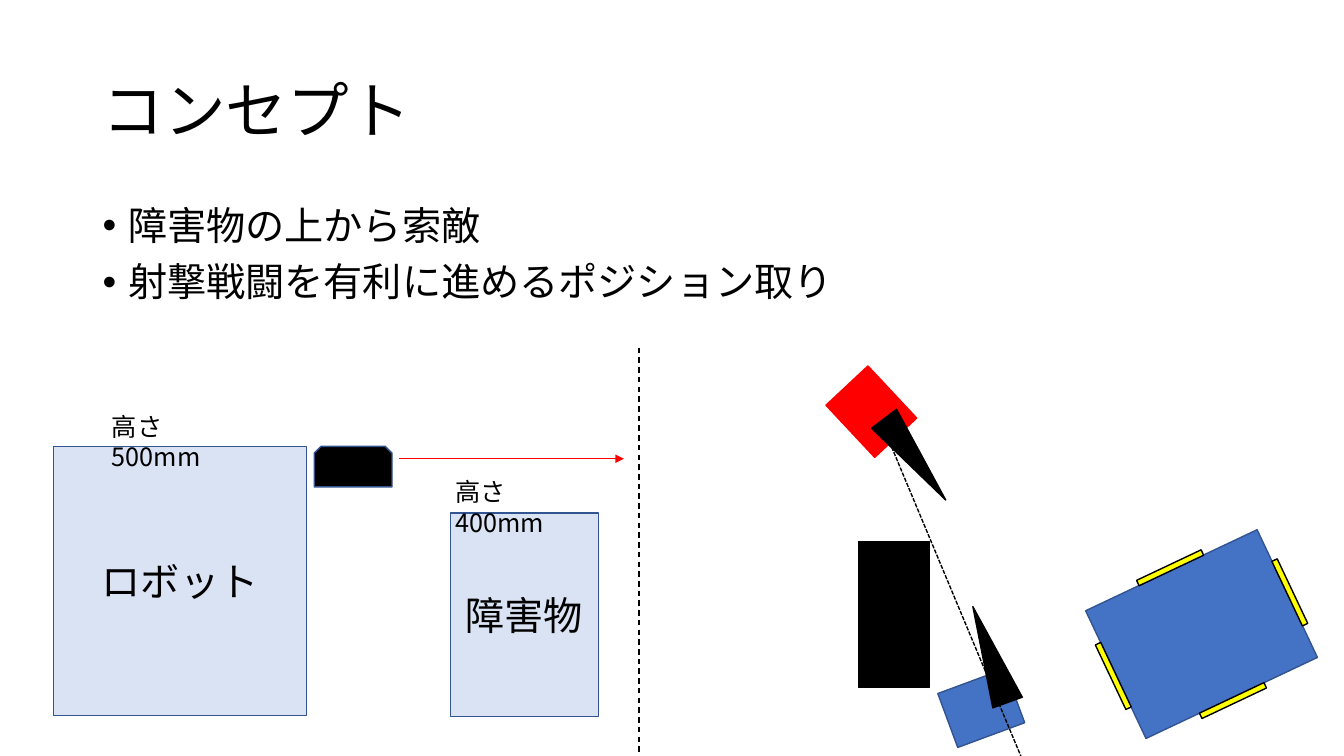
from dataclasses import dataclass
from math import cos, radians, sin

from lxml import etree
from pptx import Presentation
from pptx.dml.color import RGBColor
from pptx.enum.dml import MSO_LINE
from pptx.enum.shapes import MSO_CONNECTOR, MSO_SHAPE
from pptx.enum.text import MSO_ANCHOR, PP_ALIGN
from pptx.oxml.ns import qn
from pptx.util import Cm, Pt

RECT = MSO_SHAPE.RECTANGLE
SNIP = MSO_SHAPE.SNIP_2_SAME_RECTANGLE
WEDGE = MSO_SHAPE.ISOSCELES_TRIANGLE
LINE = MSO_CONNECTOR.STRAIGHT
DASH = MSO_LINE.DASH
DOTS = MSO_LINE.SQUARE_DOT
TOP = MSO_ANCHOR.TOP
MIDDLE = MSO_ANCHOR.MIDDLE
LEFT = PP_ALIGN.LEFT
CENTER = PP_ALIGN.CENTER


@dataclass(frozen=True)
class Theme:
    font: str = "Noto Sans CJK JP"
    black: str = "000000"
    red: str = "FF0000"
    blue: str = "4472C4"
    pale: str = "DAE3F3"
    edge: str = "325491"
    yellow: str = "FFFF00"
    title: int = 44
    body: int = 28
    label: int = 18


THEME = Theme()


def color(code):
    return RGBColor.from_string(code)


def add_run(para, text, size):
    run = para.add_run()
    run.text = text
    font = run.font
    font.size = Pt(size)
    font.name = THEME.font
    font.color.rgb = color(THEME.black)
    east = etree.SubElement(font._element, qn("a:ea"))
    east.set("typeface", THEME.font)


def add_bullet(para):
    props = para._p.get_or_add_pPr()
    props.set("marL", str(Cm(0.64)))
    props.set("indent", str(-Cm(0.64)))
    mark = etree.SubElement(props, qn("a:buFont"))
    mark.set("typeface", "Arial")
    mark = etree.SubElement(props, qn("a:buChar"))
    mark.set("char", "•")


def add_text(slide, box, lines, size, anchor=TOP, space=None, bullet=False):
    frame = slide.shapes.add_textbox(*map(Cm, box)).text_frame
    frame.word_wrap = True
    frame.vertical_anchor = anchor
    for index, line in enumerate(lines):
        para = frame.add_paragraph() if index else frame.paragraphs[0]
        para.alignment = LEFT
        if space:
            para.line_spacing = space
        if bullet:
            para.space_before = Pt(10)
            add_bullet(para)
        add_run(para, line, size)


def add_block(shapes, kind, box, fill, edge, turn=0, text=None):
    block = shapes.add_shape(kind, *map(Cm, box))
    block.shadow.inherit = False
    block.rotation = turn
    block.fill.solid()
    block.fill.fore_color.rgb = color(fill)
    block.line.color.rgb = color(edge)
    block.line.width = Pt(1)
    if text:
        frame = block.text_frame
        frame.word_wrap = True
        frame.vertical_anchor = MIDDLE
        para = frame.paragraphs[0]
        para.alignment = CENTER
        add_run(para, text, THEME.body)


def add_line(slide, ends, code, width=1, dash=None, arrow=False):
    link = slide.shapes.add_connector(LINE, *map(Cm, ends))
    link.line.color.rgb = color(code)
    link.line.width = Pt(width)
    if dash:
        link.line.dash_style = dash
    if arrow:
        tip = etree.SubElement(link.line._get_or_add_ln(), qn("a:tailEnd"))
        tip.set("type", "triangle")
    etree.SubElement(link._element.spPr, qn("a:effectLst"))


def add_car(slide, mid_x, mid_y, turn):
    wide, tall = 3.56, 4.78
    long, thin = 1.8, 0.15
    parts = slide.shapes.add_group_shape().shapes
    box = (mid_x - wide / 2, mid_y - tall / 2, wide, tall)
    add_block(parts, RECT, box, THEME.blue, THEME.edge, turn)
    for side in range(4):
        reach = (1.85, 2.46)[side % 2]
        angle = turn + 90 * side
        left = mid_x + reach * cos(radians(angle)) - long / 2
        top = mid_y + reach * sin(radians(angle)) - thin / 2
        add_block(parts, RECT, (left, top, long, thin), THEME.yellow,
                  THEME.black, (angle + 90) % 360)


def add_side(slide):
    shapes = slide.shapes
    add_block(shapes, RECT, (1.35, 11.25, 6.38, 6.78), THEME.pale,
              THEME.edge, text="ロボット")
    add_block(shapes, RECT, (11.35, 12.93, 3.73, 5.13), THEME.pale,
              THEME.edge, text="障害物")
    for left, top, text in ((11.23, 11.89, "高さ400mm"),
                            (2.57, 10.24, "高さ500mm")):
        add_text(slide, (left, top, 3.96, 1.02), [text], THEME.label)
    add_block(shapes, SNIP, (7.92, 11.25, 1.96, 1.02), THEME.black, THEME.edge)
    add_line(slide, (10.06, 11.56, 15.72, 11.56), THEME.red, 0.5, arrow=True)


def add_plan(slide):
    shapes = slide.shapes
    black = THEME.black
    add_block(shapes, RECT, (21.06, 9.65, 1.8, 1.45), THEME.red, THEME.red, 46.9)
    add_block(shapes, RECT, (21.64, 13.64, 1.78, 3.68), black, black)
    add_block(shapes, RECT, (23.83, 17.12, 1.8, 1.45), THEME.blue, THEME.edge, 339.7)
    add_block(shapes, WEDGE, (22.66, 10.29, 0.79, 2.57), black, black, 142.8)
    add_line(slide, (22.2, 10.62, 25.78, 19.18), black, dash=DOTS)
    add_block(shapes, WEDGE, (24.56, 15.21, 0.79, 2.57), black, black, 340.1)
    add_car(slide, 30.28, 15.98, 64.7)


def main():
    deck = Presentation()
    deck.slide_width = Cm(33.87)
    deck.slide_height = Cm(19.05)
    slide = deck.slides.add_slide(deck.slide_layouts[6])
    add_text(slide, (2.34, 1.02, 29.21, 3.68), ["コンセプト"], THEME.title,
             MIDDLE, 0.9)
    add_text(slide, (2.34, 5.08, 21.79, 3.68),
             ["障害物の上から索敵", "射撃戦闘を有利に進めるポジション取り"],
             THEME.body, space=0.9, bullet=True)
    add_side(slide)
    add_line(slide, (16.1, 8.76, 16.1, 19.05), THEME.black, dash=DASH)
    add_plan(slide)
    deck.save("out.pptx")


if __name__ == "__main__":
    main()
